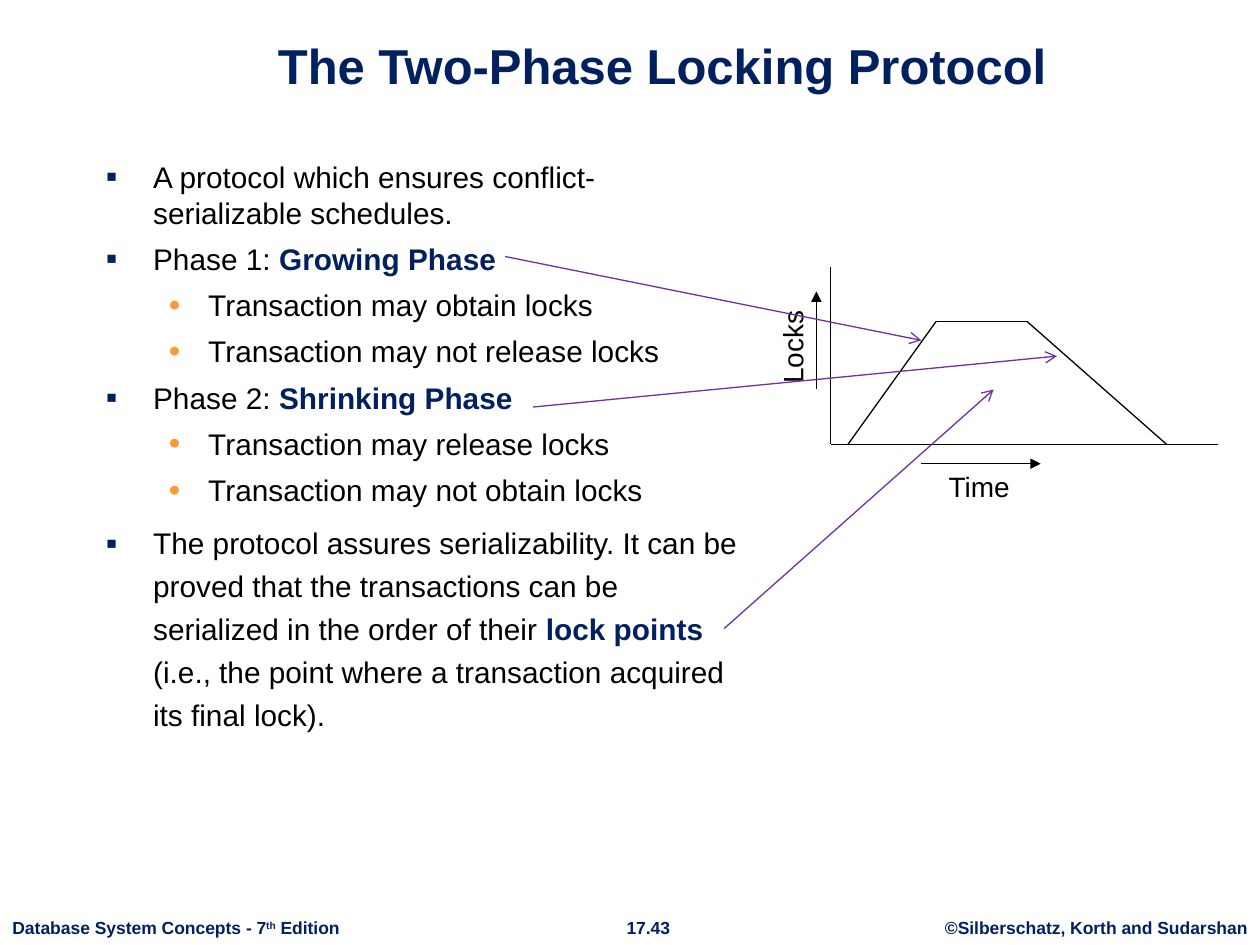
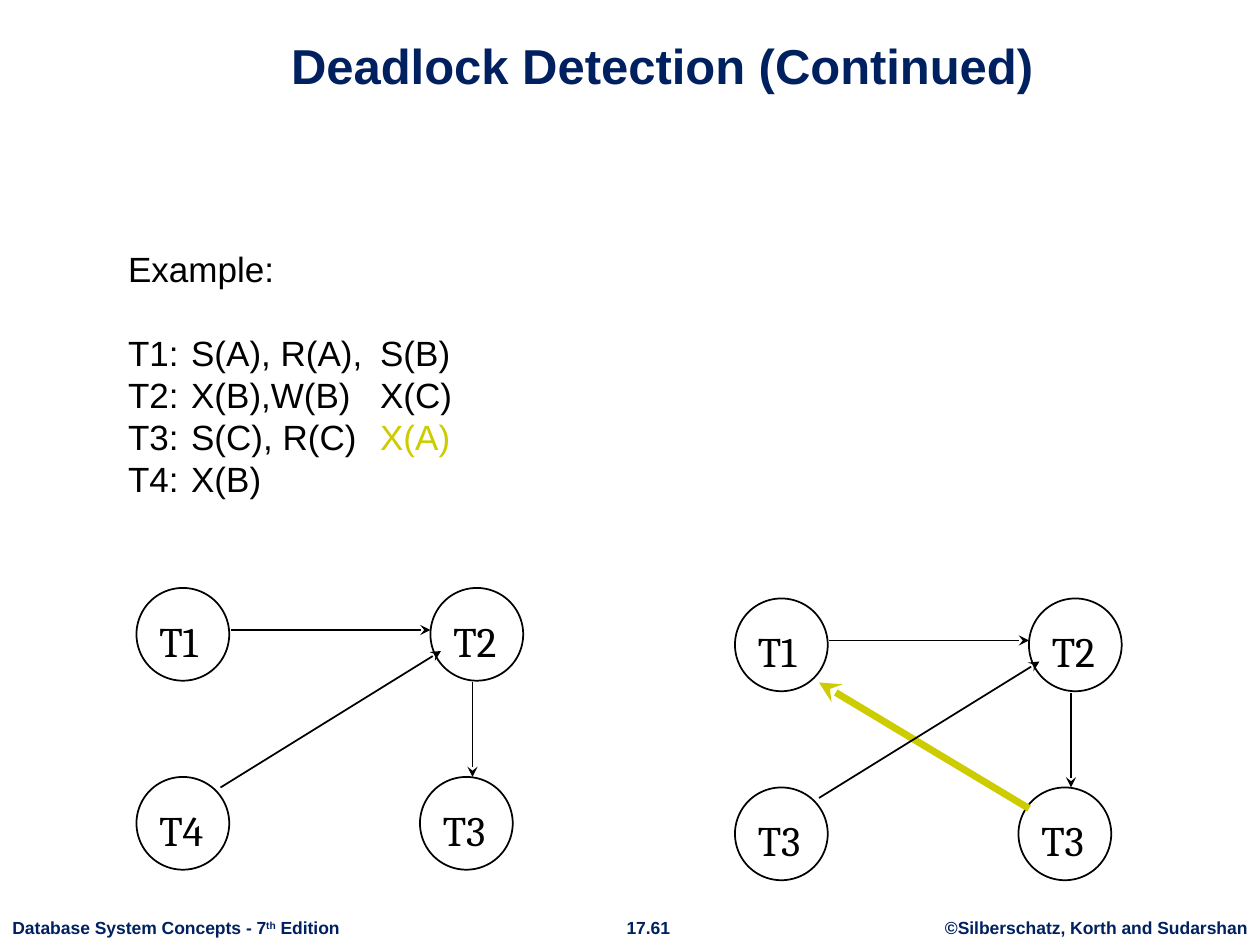
"""Build two database lecture slides: two-phase locking and deadlock detection."""
from itertools import pairwise

from lxml import etree
from pptx import Presentation
from pptx import util as u
from pptx.dml.color import RGBColor
from pptx.enum import shapes, text
from pptx.oxml import ns

COLORS = {
    "navy": "002060",
    "black": "000000",
    "orange": "FF9933",
    "purple": "7030A0",
    "yellow": "CCCC00",
}
BULLETS = [("▪", "navy", 27, 27), ("•", "orange", 58.5, 22.5)]
CENTER = text.PP_ALIGN.CENTER
NODE_SIZE = 53


def add_run(paragraph, words, size=17, color="black", bold=False, font="Arial", baseline=0):
    run = paragraph.add_run()
    run.text = words
    run.font.size = u.Pt(size)
    run.font.name = font
    run.font.bold = bold
    run.font.color.rgb = RGBColor.from_string(COLORS[color])
    if baseline:
        run._r.get_or_add_rPr().set("baseline", str(baseline * 1000))


def add_child(parent, tag, **attributes):
    return etree.SubElement(parent, ns.qn(tag), attributes)


def place(shape, left, top, width, height):
    shape.left, shape.top = u.Pt(left), u.Pt(top)
    shape.width, shape.height = u.Pt(width), u.Pt(height)


def add_label(slide, box, words, wrap=False, align=None, rotation=0, **style):
    label = slide.shapes.add_textbox(*map(u.Pt, box))
    label.rotation = rotation
    label.text_frame.word_wrap = wrap
    paragraph = label.text_frame.paragraphs[0]
    paragraph.alignment = align
    add_run(paragraph, words, **style)
    return paragraph


def add_line(slide, start, end, color="black", width=0.75, head=None):
    line = slide.shapes.add_connector(
        shapes.MSO_CONNECTOR.STRAIGHT, *map(u.Pt, (*start, *end)))
    line.line.color.rgb = RGBColor.from_string(COLORS[color])
    line.line.width = u.Pt(width)
    if head:
        add_child(line.line._get_or_add_ln(), "a:tailEnd", type=head)
    add_child(line._element.spPr, "a:effectLst")


def add_footer(slide, number):
    style = {"size": 10, "color": "navy", "bold": True}
    add_label(slide, (532.8, 520.6, 187.2, 19.4),
              "©Silberschatz, Korth and Sudarshan", align=CENTER, **style)
    add_label(slide, (350, 520.6, 41, 19.4), number, align=CENTER, **style)
    edition = add_label(slide, (0, 520.6, 202.3, 19.4), "Database System Concepts - 7", **style)
    add_run(edition, "th", baseline=30, **style)
    add_run(edition, " Edition", **style)


def add_slide(deck, heading, number, body_box):
    slide = deck.slides.add_slide(deck.slide_layouts[1])
    title, body = slide.placeholders
    place(title, 60.5, 9.4, 635.8, 48.2)
    place(body, *body_box)
    for holder in (title, body):
        holder.text_frame.auto_size = text.MSO_AUTO_SIZE.NONE
    title.text_frame.vertical_anchor = text.MSO_ANCHOR.BOTTOM
    paragraph = title.text_frame.paragraphs[0]
    paragraph.alignment = CENTER
    add_run(paragraph, heading, size=28, color="navy", bold=True)
    add_footer(slide, number)
    return slide, body.text_frame


def next_paragraph(frame):
    first = frame.paragraphs[0]
    return frame.add_paragraph() if first.runs else first


def add_bullet(frame, level, plain, term="", rest="", spacing=1.0):
    paragraph = next_paragraph(frame)
    paragraph.level = level
    paragraph.space_before = u.Pt(6)
    paragraph.line_spacing = spacing
    symbol, color, margin, hanging = BULLETS[level]
    props = paragraph._p.get_or_add_pPr()
    props.set("marL", str(u.Pt(margin)))
    props.set("indent", str(-u.Pt(hanging)))
    add_child(add_child(props, "a:buClr"), "a:srgbClr", val=COLORS[color])
    add_child(props, "a:buSzPct", val="110000")
    add_child(props, "a:buFont", typeface="Arial")
    add_child(props, "a:buChar", char=symbol)
    add_run(paragraph, plain)
    if term:
        add_run(paragraph, term, color="navy", bold=True)
    if rest:
        add_run(paragraph, rest)


def add_schedule_row(frame, name, steps=(), gap_after=0):
    paragraph = next_paragraph(frame)
    paragraph.space_before = u.Pt(0)
    paragraph.space_after = u.Pt(gap_after)
    props = paragraph._p.get_or_add_pPr()
    props.set("marL", "0")
    props.set("indent", "0")
    add_child(props, "a:buNone")
    add_run(paragraph, name, size=20)
    if steps:
        stops = add_child(props, "a:tabLst")
    for position, operation, color in steps:
        add_child(stops, "a:tab", pos=str(u.Pt(position)), algn="l")
        add_run(paragraph, "\t" + operation, size=20, color=color)


def add_node(slide, left, top, name):
    circle = slide.shapes.add_shape(
        shapes.MSO_SHAPE.OVAL, *map(u.Pt, (left, top, NODE_SIZE, NODE_SIZE)))
    circle.shadow.inherit = False
    circle.fill.background()
    circle.line.color.rgb = RGBColor.from_string(COLORS["black"])
    circle.line.width = u.Pt(1)
    add_label(slide, (left + 6, top + 12, 41, 36), name, size=24, font="Cambria")


def add_wait_graph(slide, left, top, names, deadlocked=False):
    nodes = [(0, 0), (168, 0), (0, 108), (162, 108)]
    for name, (x, y) in zip(names, nodes):
        add_node(slide, left + x, top + y, name)
    waits = [
        ((54, 24), (168, 24), "black", 1),
        ((192, 54), (192, 108), "black", 1),
        ((48, 114), (174, 36), "black", 1),
    ]
    if deadlocked:
        waits.insert(2, ((168, 120), (48, 48), "yellow", 4))
    for (x1, y1), (x2, y2), color, width in waits:
        add_line(slide, (left + x1, top + y1), (left + x2, top + y2), color, width, "stealth")


def add_lock_chart(slide):
    lock_curve = [(484.5, 254), (535, 183.6), (586.8, 183.6), (666.7, 254)]
    for start, end in pairwise(lock_curve):
        add_line(slide, start, end)
    add_line(slide, (474.5, 152.8), (474.5, 254))
    add_line(slide, (475, 254), (696.3, 254))
    add_label(slide, (535, 265, 63.4, 26.6), "Time", wrap=True, size=16)
    add_label(slide, (421.2, 181.4, 63.4, 26.6), "Locks", wrap=True, rotation=270, size=16)
    add_line(slide, (526.5, 265), (594.7, 265), head="triangle")
    add_line(slide, (466.5, 222.5), (466.5, 166.5), head="triangle")


def build_locking(deck):
    slide, body = add_slide(deck, "The Two-Phase Locking Protocol", "17.43",
                            (53.3, 87.1, 378, 422.6))
    add_bullet(body, 0, "A protocol which ensures conflict-serializable schedules.")
    phases = [("Growing", "obtain", "release"), ("Shrinking", "release", "obtain")]
    for number, (phase, allowed, barred) in enumerate(phases, 1):
        add_bullet(body, 0, f"Phase {number}: ", f"{phase} Phase")
        add_bullet(body, 1, f"Transaction may {allowed} locks")
        add_bullet(body, 1, f"Transaction may not {barred} locks")
    add_bullet(body, 0, "The protocol assures serializability. It can be proved that the "
               "transactions can be serialized in the order of their ", "lock points ",
               "(i.e., the point where a transaction acquired its final lock).", spacing=1.2)
    add_lock_chart(slide)
    pointers = [
        ((288.7, 146.6), (526.5, 194.5)),
        ((304.7, 232.6), (604, 203.5)),
        ((413.8, 359.2), (567.8, 222.6)),
    ]
    for term, target in pointers:
        add_line(slide, term, target, "purple", head="arrow")


def build_deadlock(deck):
    slide, body = add_slide(deck, "Deadlock Detection (Continued)", "17.61",
                            (66, 138, 612, 180))
    add_schedule_row(body, "Example:", gap_after=24)
    schedule = {
        "T1:": [(39, "S(A), R(A),", "black"), (220, "S(B)", "black")],
        "T2:": [(188, "X(B),W(B)", "black"), (443, "X(C)", "black")],
        "T3:": [(337, "S(C), R(C)", "black"), (554, "X(A)", "yellow")],
        "T4:": [(498, "X(B)", "black")],
    }
    for transaction, steps in schedule.items():
        add_schedule_row(body, transaction, steps)
    add_wait_graph(slide, 78, 336, ["T1", "T2", "T4", "T3"])
    add_wait_graph(slide, 420, 342, ["T1", "T2", "T3", "T3"], deadlocked=True)


def main():
    deck = Presentation()
    deck.slide_width, deck.slide_height = u.Pt(720), u.Pt(540)
    build_locking(deck)
    build_deadlock(deck)
    deck.save("out.pptx")


if __name__ == "__main__":
    main()
